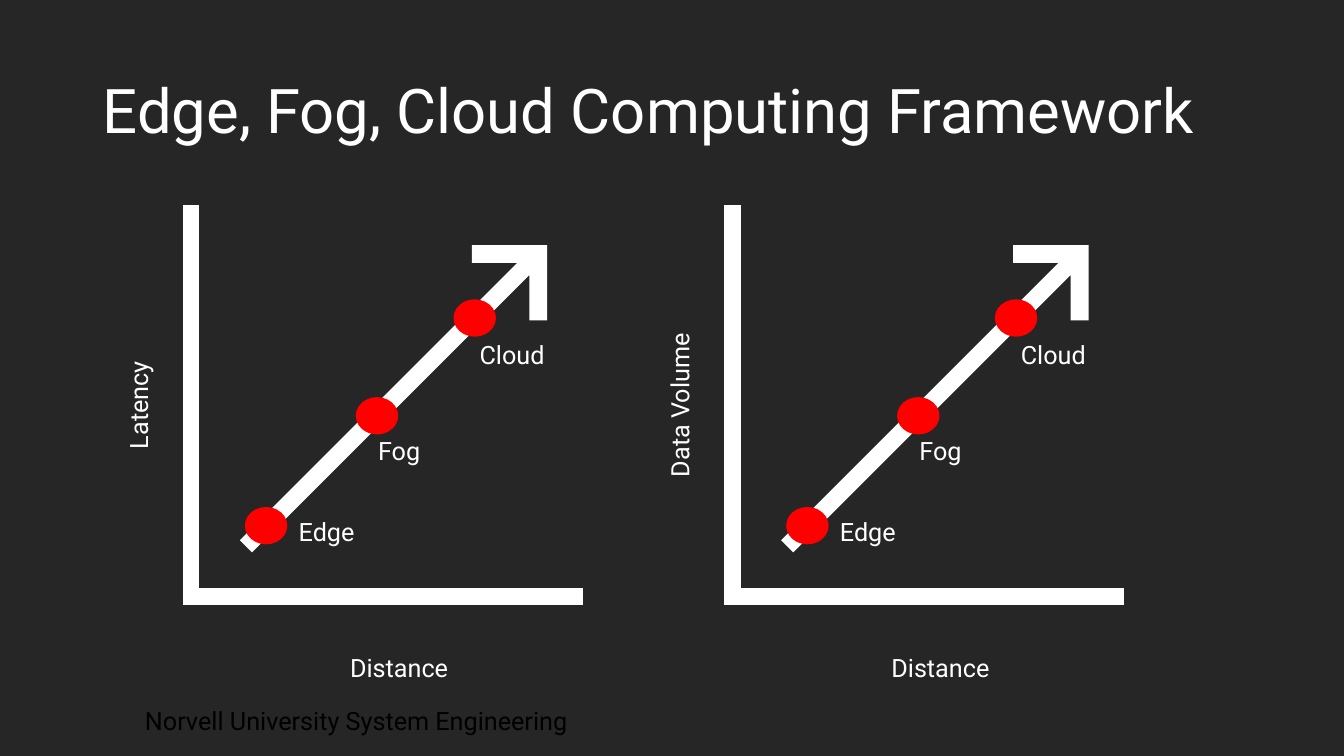
import pptx
import pptx.dml.color
import pptx.enum.shapes
import pptx.enum.text
import pptx.oxml
import pptx.oxml.ns
import pptx.util

CELL = pptx.util.Inches(0.1)
COLUMNS, ROWS = 133.33, 75
FONT = "Roboto"
WHITE, BLACK, RED, CHARCOAL = "FFFFFF", "000000", "FF0000", "262626"

PANEL_TOP = 20.6
PANELS = [(18.4, "Latency"), (72.1, "Data Volume")]

# Columns and rows below count from the top left corner of a panel.
AXIS_LENGTH, AXIS_WIDTH = 39.1, 1.1
AXES = [
    (AXIS_WIDTH, 0), (0, 0), (0, AXIS_LENGTH), (AXIS_LENGTH, AXIS_LENGTH),
    (AXIS_LENGTH, AXIS_LENGTH - AXIS_WIDTH), (AXIS_WIDTH, AXIS_LENGTH - AXIS_WIDTH),
]
ARROW = [
    (6.6, 33.8), (34.4, 6), (34.4, 10.9), (35.6, 10.9), (35.6, 4),
    (28.7, 4), (28.7, 5.2), (33.6, 5.2), (5.8, 33),
]
LABELS = [("Distance", 1.2, 43.6), ("Fog", 1.2, 22.1), ("Cloud", 12.4, 12.6), ("Edge", -6, 30.1)]
DOTS = [(6, 29.8), (17, 18.9), (26.7, 9.2)]
LABEL_SIZE = (40, 4)
DOT_SIZE = (4, 3.5)


def cells(*counts):
    """Turn counts of grid cells into slide lengths."""
    return [round(count * CELL) for count in counts]


def color(hex_string):
    return pptx.dml.color.RGBColor.from_string(hex_string)


def paint(shape, hex_string, line_width):
    shape.shadow.inherit = False
    shape.fill.solid()
    shape.fill.fore_color.rgb = color(hex_string)
    shape.line.color.rgb = color(hex_string)
    shape.line.width = pptx.util.Pt(line_width)


def write(text_frame, text, size, hex_string, alignment):
    text_frame.text = text
    text_frame.word_wrap = True
    paragraph = text_frame.paragraphs[0]
    paragraph.alignment = alignment
    font = paragraph.runs[0].font
    font.name = FONT
    font.size = pptx.util.Pt(size)
    font.color.rgb = color(hex_string)


def add_label(shapes, text, left, top, width, height, hex_string=WHITE,
              alignment=pptx.enum.text.PP_ALIGN.CENTER):
    label = shapes.add_textbox(*cells(left, top, width, height))
    write(label.text_frame, text, 18, hex_string, alignment)
    label.text_frame.auto_size = pptx.enum.text.MSO_AUTO_SIZE.SHAPE_TO_FIT_TEXT
    return label


def add_outline(shapes, points, left, top):
    """Draw a closed white shape with sharp corners."""
    corners = [cells(left + column, top + row) for column, row in points]
    builder = shapes.build_freeform(*corners[0])
    builder.add_line_segments(corners[1:], close=True)
    outline = builder.convert_to_shape()
    paint(outline, WHITE, 4.14)
    miter = pptx.oxml.parse_xml(
        f'<a:miter {pptx.oxml.ns.nsdecls("a")} lim="800000"/>')
    outline.line.fill  # the line element exists once the width is set
    outline.element.spPr.find(pptx.oxml.ns.qn("a:ln")).append(miter)


def add_dot(shapes, left, top):
    dot = shapes.add_shape(
        pptx.enum.shapes.MSO_SHAPE.OVAL, *cells(left, top, *DOT_SIZE))
    paint(dot, RED, 1.5)


def add_panel(slide, left, axis_title):
    """Add one group with axes, a rising arrow and its three stages."""
    shapes = slide.shapes.add_group_shape().shapes
    add_outline(shapes, ARROW, left, PANEL_TOP)
    add_outline(shapes, AXES, left, PANEL_TOP)
    vertical_title = add_label(shapes, axis_title, left - 24.7, PANEL_TOP + 17.6, *LABEL_SIZE)
    vertical_title.rotation = 270
    for text, column, row in LABELS:
        add_label(shapes, text, left + column, PANEL_TOP + row, *LABEL_SIZE)
    for column, row in DOTS:
        add_dot(shapes, left + column, PANEL_TOP + row)


def format_title(title, text):
    title.left, title.top, title.width, title.height = cells(9.2, 4, 115, 14.5)
    write(title.text_frame, text, 44, WHITE, pptx.enum.text.PP_ALIGN.LEFT)
    title.text_frame.vertical_anchor = pptx.enum.text.MSO_ANCHOR.MIDDLE
    title.text_frame.auto_size = pptx.enum.text.MSO_AUTO_SIZE.NONE
    title.text_frame.paragraphs[0].line_spacing = 0.9


def main():
    presentation = pptx.Presentation()
    presentation.slide_width, presentation.slide_height = cells(COLUMNS, ROWS)
    slide = presentation.slides.add_slide(presentation.slide_layouts[5])
    slide.background.fill.solid()
    slide.background.fill.fore_color.rgb = color(CHARCOAL)

    format_title(slide.shapes.title, "Edge, Fog, Cloud Computing Framework")
    add_label(slide.shapes, "Norvell University System Engineering", 13.4, 69.5, 45.4, 4,
              BLACK, pptx.enum.text.PP_ALIGN.LEFT)
    for left, axis_title in PANELS:
        add_panel(slide, left, axis_title)

    presentation.save("out.pptx")


if __name__ == "__main__":
    main()
